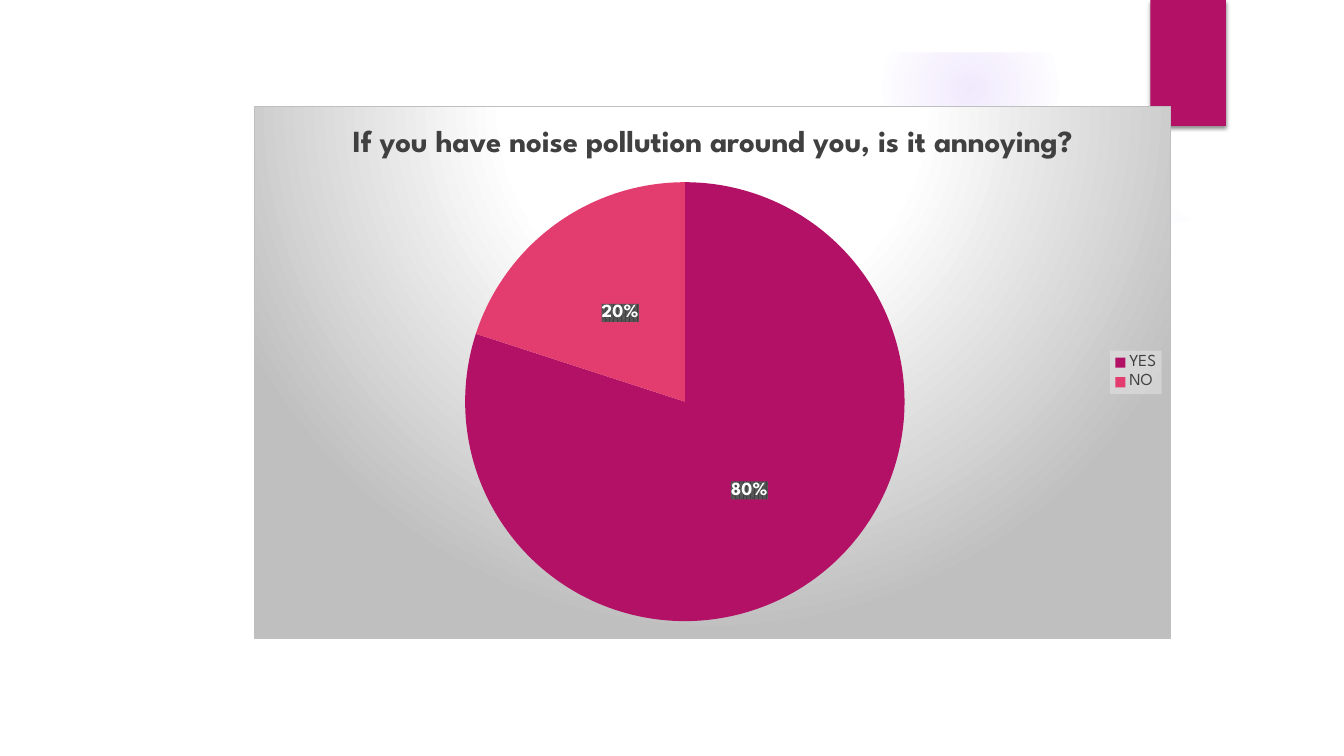
from dataclasses import dataclass

from lxml import etree
from pptx import Presentation
from pptx.chart.data import CategoryChartData
from pptx.dml.color import RGBColor
from pptx.enum.chart import XL_CHART_TYPE, XL_LABEL_POSITION as LabelPos, XL_LEGEND_POSITION as LegendPos
from pptx.enum.shapes import MSO_SHAPE as Shape
from pptx.oxml import parse_xml
from pptx.oxml.ns import nsdecls, qn
from pptx.util import Inches, Pt


@dataclass(frozen=True)
class Theme:
    font: str = "League Spartan"
    white: str = "FFFFFF"
    glow: str = "9B6BF2"
    magenta: str = "B31166"
    pink: str = "E33D6F"
    text: str = "404040"
    grey: str = "BFBFBF"
    legend_fill: str = "F2F2F2"
    black: str = "000000"
    title_size: float = 22
    label_size: float = 13.3
    legend_size: float = 12


T = Theme()


def rgb(value):
    return RGBColor.from_string(value)


def color_xml(color, alpha=100):
    return f'<a:srgbClr val="{color}"><a:alpha val="{alpha * 1000}"/></a:srgbClr>'


def radial_xml(stops, top=50, bottom=50):
    """Circular gradient; stops are (position, colour, opacity) in percent."""
    gs = "".join(f'<a:gs pos="{pos * 1000}">{color_xml(color, alpha)}</a:gs>'
                 for pos, color, alpha in stops)
    return (f'<a:gradFill rotWithShape="1"><a:gsLst>{gs}</a:gsLst><a:path path="circle">'
            f'<a:fillToRect l="50000" t="{top * 1000}" r="50000" b="{bottom * 1000}"/>'
            '</a:path></a:gradFill>')


def style_chart_part(element, fill, line="<a:ln><a:noFill/></a:ln>"):
    """Give a chart part its fill and line, placed before its text properties."""
    for old in element.findall(qn("c:spPr")):
        element.remove(old)
    sp_pr = parse_xml(f'<c:spPr {nsdecls("c", "a")}>{fill}{line}</c:spPr>')
    element.find(qn("c:txPr")).addprevious(sp_pr)


def set_font(font, size, color, bold=False):
    font.name, font.size, font.bold = T.font, Pt(size), bold
    font.color.rgb = rgb(color)


def finish_solid(sp, color):
    sp.shadow.inherit = False
    sp.fill.solid()
    sp.fill.fore_color.rgb = rgb(color)
    sp.line.fill.background()
    return sp


def add_solid(s, kind, x, y, w, h, color):
    sp = s.shapes.add_shape(kind, Inches(x), Inches(y), Inches(w), Inches(h))
    return finish_solid(sp, color)


def add_glow(s, x, y, size, inner, middle, edge):
    sp = add_solid(s, Shape.OVAL, x, y, size, size, T.glow)
    stops = [(0, T.glow, inner), (36, T.glow, middle), (edge, T.glow, 0)]
    solid = sp._element.spPr.find(qn("a:solidFill"))
    solid.getparent().replace(
        solid, parse_xml(radial_xml(stops).replace("<a:gradFill", f'<a:gradFill {nsdecls("a")}', 1)))


def add_panel(s):
    """White panel whose top edge sags between the corners."""
    top = [(0.5, 2.04), (1.59, 2.18), (2.83, 2.3), (4.01, 2.38), (5.35, 2.45), (7.08, 2.48),
           (8.67, 2.45), (10.04, 2.37), (11.16, 2.27), (12, 2.17), (12.84, 2.04)]
    points = [(Inches(x), Inches(y)) for x, y in top + [(12.84, 7), (0.5, 7)]]
    builder = s.shapes.build_freeform(*points[0])
    builder.add_line_segments(points[1:], close=True)
    finish_solid(builder.convert_to_shape(), T.white)


def add_tab(s):
    tab = add_solid(s, Shape.RECTANGLE, 11.41, 0, 0.75, 1.25, T.magenta)
    effects = tab._element.spPr.find(qn("a:effectLst"))
    effects.append(parse_xml(
        f'<a:outerShdw {nsdecls("a")} blurRad="{Pt(3)}" dist="{Pt(2)}" dir="5400000" '
        f'rotWithShape="0">{color_xml(T.black, 45)}</a:outerShdw>'))


def place_plot(chart, **fractions):
    """Fix the inner plot area, in fractions of the chart."""
    area = chart._chartSpace.chart.plotArea
    for old in area.findall(qn("c:layout")):
        area.remove(old)
    sizes = "".join(f'<c:{key} val="{value}"/>' for key, value in fractions.items())
    area.insert(0, parse_xml(
        f'<c:layout {nsdecls("c")}><c:manualLayout><c:layoutTarget val="inner"/>'
        f'<c:xMode val="edge"/><c:yMode val="edge"/>{sizes}</c:manualLayout></c:layout>'))


def add_pie(s, title, answers):
    data = CategoryChartData()
    data.categories = list(answers)
    data.add_series("Series 1", list(answers.values()))
    chart = s.shapes.add_chart(XL_CHART_TYPE.PIE, Inches(2.52), Inches(1.05),
                               Inches(9.09), Inches(5.29), data).chart
    set_font(chart.font, 10, T.black)
    style_chart_part(
        chart._chartSpace,
        radial_xml([(0, T.white, 100), (39, T.white, 100), (100, T.grey, 100)], -80, 180),
        f'<a:ln w="{Pt(0.75)}"><a:solidFill>{color_xml(T.grey)}</a:solidFill></a:ln>')
    chart.has_title = True
    p = chart.chart_title.text_frame.paragraphs[0]
    p.text = title
    set_font(p.font, T.title_size, T.text, bold=True)
    place_plot(chart, x=0.23, y=0.14, w=0.48, h=0.83)

    chart.has_legend = True
    legend = chart.legend
    legend.position, legend.include_in_layout = LegendPos.RIGHT, False
    set_font(legend.font, T.legend_size, T.text)
    style_chart_part(legend._element, f"<a:solidFill>{color_xml(T.legend_fill, 39)}</a:solidFill>")

    chart.plots[0].vary_by_categories = True
    series = chart.plots[0].series[0]
    for i, color in enumerate((T.magenta, T.pink)):
        fmt = series.points[i].format
        fmt.fill.solid()
        fmt.fill.fore_color.rgb = rgb(color)
        fmt.line.fill.background()
    labels = series.data_labels
    labels.show_percentage, labels.show_value = True, False
    labels.number_format, labels.number_format_is_linked = "0%", False
    labels.position = LabelPos.CENTER
    set_font(labels.font, T.label_size, T.white, bold=True)
    style_chart_part(labels._element,
                     f'<a:pattFill prst="pct75"><a:fgClr>{color_xml(T.text)}</a:fgClr>'
                     f'<a:bgClr>{color_xml("595959")}</a:bgClr></a:pattFill>')


def main():
    prs = Presentation()
    prs.slide_width, prs.slide_height = Inches(13.33), Inches(7.5)
    s = prs.slides.add_slide(prs.slide_layouts[6])
    glows = [(0, 2.92, 4.58, 11, 10, 75), (0, 3.17, 2.58, 8, 8, 72),
             (9.41, 6.42, 1.08, 14, 7, 66), (9.41, 1.83, 3.08, 7, 6, 69),
             (8.75, 0.01, 1.75, 14, 7, 73)]
    for glow in glows:
        add_glow(s, *glow)
    add_panel(s)
    frame = add_solid(s, Shape.FRAME, 0, 0, 13.33, 7.5, T.white)
    frame.adjustments[0] = 0.52 / 7.5
    add_tab(s)
    add_pie(s, "If you have noise pollution around you, is it annoying?", {"YES": 80, "NO": 20})
    prs.save("out.pptx")


if __name__ == "__main__":
    main()
